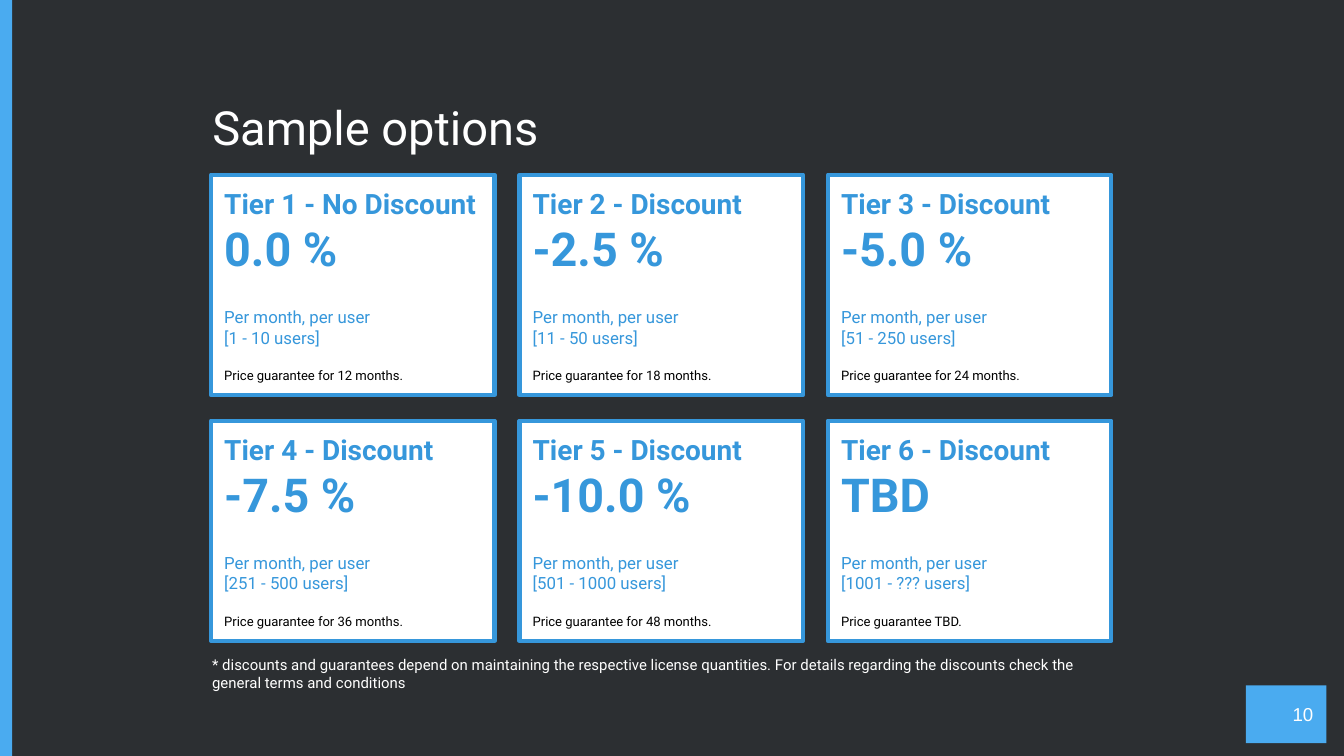
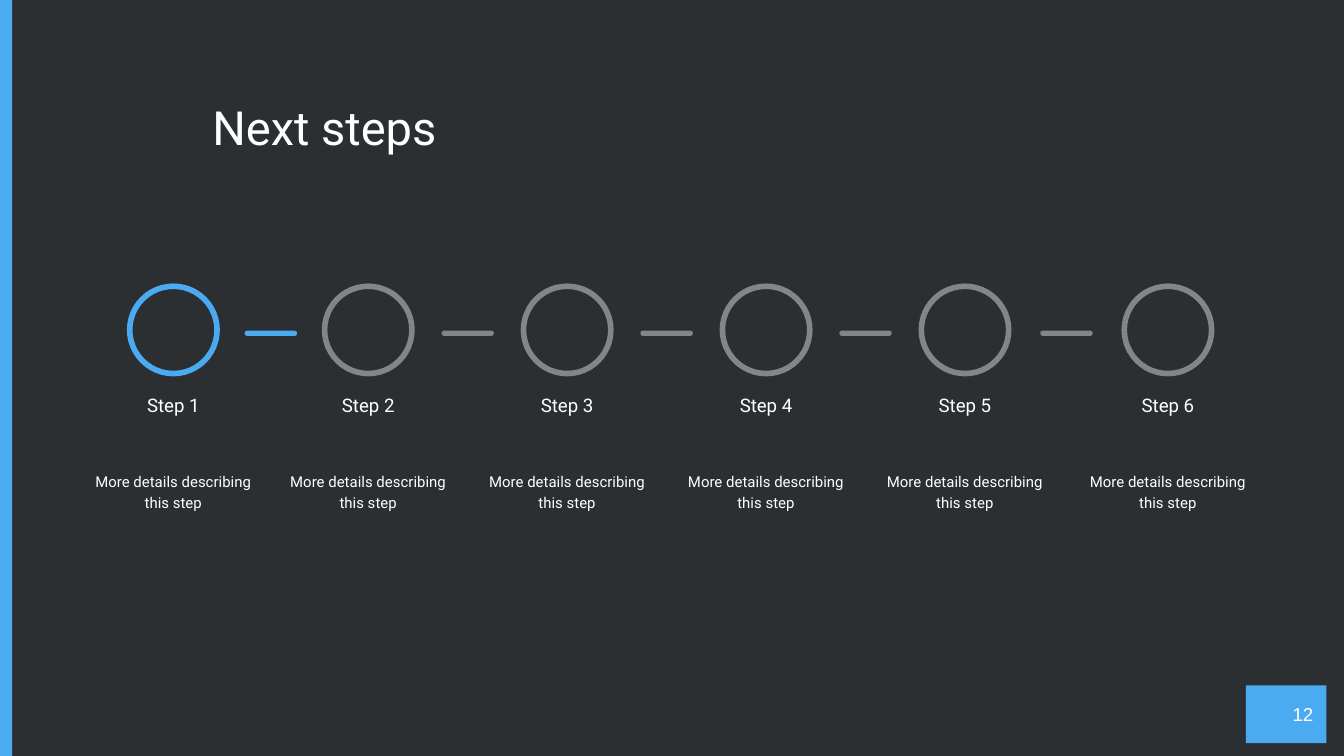
from dataclasses import dataclass
from itertools import pairwise

from pptx import Presentation
from pptx.dml.color import RGBColor
from pptx.enum.shapes import MSO_SHAPE as Shape
from pptx.enum.text import MSO_ANCHOR as Anchor, MSO_AUTO_SIZE as AutoSize, PP_ALIGN as Align
from pptx.util import Inches, Pt

# Content
TIERS = [
    ("Tier 1 - No Discount", "0.0 %", "[1 - 10 users]", "Price guarantee for 12 months."),
    ("Tier 2 - Discount", "-2.5 %", "[11 - 50 users]", "Price guarantee for 18 months."),
    ("Tier 3 - Discount", "-5.0 %", "[51 - 250 users]", "Price guarantee for 24 months."),
    ("Tier 4 - Discount", "-7.5 %", "[251 - 500 users]", "Price guarantee for 36 months."),
    ("Tier 5 - Discount", "-10.0 %", "[501 - 1000 users]", "Price guarantee for 48 months."),
    ("Tier 6 - Discount", "TBD", "[1001 - ??? users]", "Price guarantee TBD."),
]
TIER_UNIT = "Per month, per user"
TIER_FOOTNOTE = (
    "* discounts and guarantees depend on maintaining the respective license quantities. "
    "For details regarding the discounts check the general terms and conditions"
)
STEPS = [(f"Step {number}", "More details describing this step") for number in range(1, 7)]
STEPS_REACHED = 1


# Theme
@dataclass(frozen=True)
class Theme:
    background: str = "2C2F32"
    accent: str = "4AABF0"
    card_blue: str = "3697DB"
    white: str = "FFFFFF"
    black: str = "000000"
    grey: str = "858585"
    font: str = "Roboto"
    number_font: str = "Arial"
    title_size: float = 25.2
    value_size: float = 25
    tier_size: float = 15
    step_size: float = 10
    unit_size: float = 9
    note_size: float = 8
    small_size: float = 7


THEME = Theme()

# Layout, in inches
SLIDE_SIZE = (10, 10 * 9 / 16)
BAND = (-0.09, -0.05, 0.18, 5.72)
TITLE = (1.48, 0.63, 7.03, 0.63)
NUMBER = (9.27, 5.1, 0.6, 0.43)
FOOTNOTE = (1.48, 4.78, 6.84, 0.47)
CARD_COLUMNS = 3
CARD_LEFT, CARD_RIGHT, CARD_TOP = 1.57, 8.27, 1.3
CARD_WIDTH, CARD_HEIGHT, CARD_ROW_PITCH = 2.11, 1.64, 1.83
STEP_CENTRES = (1.29, 2.74, 4.22, 5.7, 7.18, 8.69)
STEP_TEXT_WIDTH, RING = 1.43, 0.65
DASH_WIDTH, DASH_HEIGHT = 0.39, 0.04


# Helpers
def inches(area):
    return [Inches(length) for length in area]


def draw(shapes, kind, area, fill=None, line=None, weight=1):
    shape = shapes.add_shape(kind, *inches(area))
    shape.shadow.inherit = False
    if fill:
        shape.fill.solid()
        shape.fill.fore_color.rgb = RGBColor.from_string(fill)
    else:
        shape.fill.background()
    if line:
        shape.line.color.rgb = RGBColor.from_string(line)
        shape.line.width = Pt(weight)
    else:
        shape.line.fill.background()
    return shape


def write(shape, rows, anchor=Anchor.TOP, insets=(0.1, 0.1, 0.1, 0.1),
          auto_size=AutoSize.NONE, **shared):
    """Fill a shape with rows of (text, formats); shared formats apply to every row."""
    frame = shape.text_frame
    left, top, right, bottom = inches(insets)
    frame_format = {
        "word_wrap": True, "auto_size": auto_size, "vertical_anchor": anchor,
        "margin_left": left, "margin_top": top, "margin_right": right, "margin_bottom": bottom,
    }
    for name, value in frame_format.items():
        setattr(frame, name, value)

    for index, (text, own) in enumerate(rows):
        look = {"font": THEME.font, "color": THEME.white, "bold": False, **shared, **own}
        para = frame.add_paragraph() if index else frame.paragraphs[0]
        para_format = {
            "alignment": look.get("align", Align.LEFT),
            "line_spacing": look.get("spacing", 1.0),
            "space_before": Pt(look.get("before", 0)),
            "space_after": Pt(look.get("after", 0)),
        }
        for name, value in para_format.items():
            setattr(para, name, value)
        span = para.add_run()
        span.text = text
        font_format = {"name": look["font"], "size": Pt(look["size"]), "bold": look["bold"]}
        for name, value in font_format.items():
            setattr(span.font, name, value)
        span.font.color.rgb = RGBColor.from_string(look["color"])


def add_text(shapes, area, text, **formats):
    write(shapes.add_textbox(*inches(area)), [(text, {})], **formats)


# Shared slide parts
def set_master(deck, page):
    """Give the master its background and side band."""
    master = deck.slide_master
    master.background.fill.solid()
    master.background.fill.fore_color.rgb = RGBColor.from_string(THEME.background)
    band = draw(page.shapes, Shape.RECTANGLE, BAND, THEME.accent)
    band.element.nvSpPr.cNvPr.set("id", "20")
    master.shapes.element.append(band.element)


def add_page(deck, title, number):
    page = deck.slides.add_slide(deck.slide_layouts[5])
    heading = page.shapes.title
    heading.left, heading.top, heading.width, heading.height = inches(TITLE)
    write(heading, [(title, {})], size=THEME.title_size)
    box = draw(page.shapes, Shape.RECTANGLE, NUMBER, THEME.accent)
    write(box, [(str(number), {})], Anchor.MIDDLE, size=THEME.step_size,
          font=THEME.number_font, align=Align.RIGHT)
    return page


# Slide: price tiers
def add_tiers(page):
    column_pitch = (CARD_RIGHT - CARD_LEFT - CARD_WIDTH) / (CARD_COLUMNS - 1)
    for index, (name, value, users, guarantee) in enumerate(TIERS):
        row, column = divmod(index, CARD_COLUMNS)
        area = (CARD_LEFT + column * column_pitch, CARD_TOP + row * CARD_ROW_PITCH,
                CARD_WIDTH, CARD_HEIGHT)
        card = draw(page.shapes, Shape.RECTANGLE, area, THEME.white, THEME.card_blue, 2.25)
        write(card, [
            (name, {"size": THEME.tier_size, "bold": True}),
            (value, {"size": THEME.value_size, "bold": True}),
            (TIER_UNIT, {"before": 16.5}),
            (users, {}),
            (guarantee, {"size": THEME.small_size, "color": THEME.black,
                         "before": 9.5, "spacing": 1.15}),
        ], Anchor.MIDDLE, size=THEME.unit_size, color=THEME.card_blue)
    add_text(page.shapes, FOOTNOTE, TIER_FOOTNOTE, size=THEME.note_size,
             auto_size=AutoSize.SHAPE_TO_FIT_TEXT)


# Slide: row of steps
def step_color(index):
    return THEME.accent if index < STEPS_REACHED else THEME.grey


def add_steps(page):
    for index, (centre, (label, detail)) in enumerate(zip(STEP_CENTRES, STEPS)):
        step = page.shapes.add_group_shape().shapes
        draw(step, Shape.OVAL, (centre - RING / 2, 2.13, RING, RING),
             line=step_color(index), weight=3)
        left = centre - STEP_TEXT_WIDTH / 2
        centred = {"align": Align.CENTER, "spacing": 1.15}
        add_text(step, (left, 2.9, STEP_TEXT_WIDTH, 0.49), label, size=THEME.step_size,
                 anchor=Anchor.BOTTOM, insets=(0.1, 0, 0.1, 0.29), **centred)
        add_text(step, (left, 3.4, STEP_TEXT_WIDTH, 0.81), detail, size=THEME.note_size,
                 after=16, **centred)

    # Dashes halfway between neighbouring steps
    for index, (here, following) in enumerate(pairwise(STEP_CENTRES)):
        left = (here + following - DASH_WIDTH) / 2
        dash = draw(page.shapes, Shape.ROUNDED_RECTANGLE,
                    (left, 2.46, DASH_WIDTH, DASH_HEIGHT), step_color(index))
        dash.adjustments[0] = 0.5


def main():
    deck = Presentation()
    deck.slide_width, deck.slide_height = inches(SLIDE_SIZE)
    tiers_page = add_page(deck, "Sample options", 10)
    set_master(deck, tiers_page)
    add_tiers(tiers_page)
    add_steps(add_page(deck, "Next steps", 12))
    deck.save("out.pptx")


if __name__ == "__main__":
    main()
